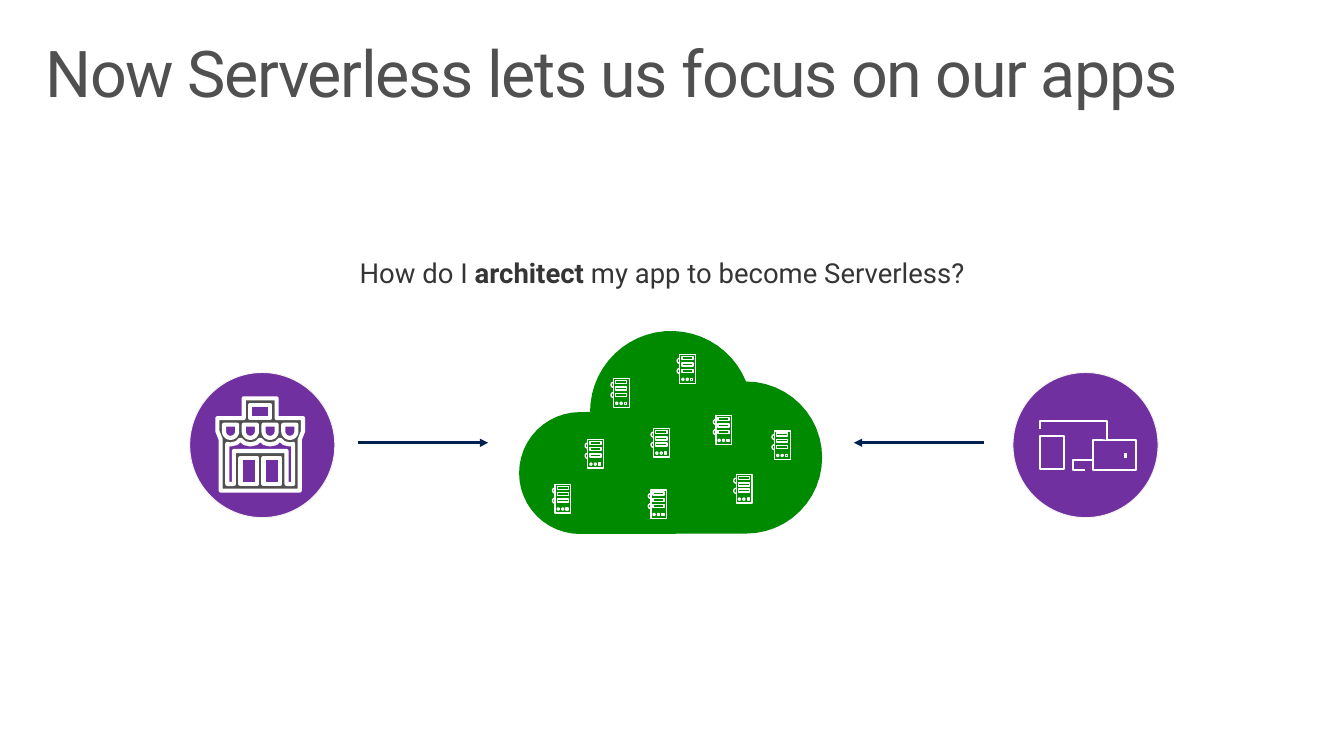
"""Builds the slide showing a store and devices feeding a cloud of servers."""
from math import cos, radians, sin

from lxml.etree import SubElement
from pptx import Presentation
from pptx.dml.color import RGBColor
from pptx.enum.shapes import MSO_CONNECTOR as Connector, MSO_SHAPE as Preset
from pptx.enum.text import PP_ALIGN as Align
from pptx.oxml.ns import qn
from pptx.util import Pt

color = RGBColor.from_string
WHITE, PURPLE, GREEN, NAVY = "FFFFFF", "7030A0", "008A00", "002050"


def arc(center_x, center_y, radius, start, end, steps=24):
    angles = [radians(start + (end - start) * i / steps) for i in range(steps + 1)]
    return [(center_x + radius * cos(a), center_y + radius * sin(a)) for a in angles]


def draw(shapes, geometry, box=None, fill=None, line=None, width=1, closed=True):
    if box:
        shape = shapes.add_shape(geometry, *[Pt(value) for value in box])
    else:
        contours = [[(Pt(x), Pt(y)) for x, y in contour] for contour in geometry]
        builder = shapes.build_freeform(*contours[0][0])
        for index, contour in enumerate(contours):
            if index:
                builder.move_to(*contour[0])
            builder.add_line_segments(contour[1:], close=closed)
        shape = builder.convert_to_shape()
    shape.shadow.inherit = False
    if fill:
        shape.fill.solid()
        shape.fill.fore_color.rgb = color(fill)
    else:
        shape.fill.background()
    if line:
        shape.line.color.rgb = color(line)
        shape.line.width = Pt(width)
    else:
        shape.line.fill.background()


presentation = Presentation()
presentation.slide_width, presentation.slide_height = Pt(979.2), Pt(550.8)
slide = presentation.slides.add_slide(presentation.slide_layouts[6])

cloud = (arc(488.9, 300.2, 59, 180, 338) + arc(543.6, 333.4, 55.4, 270, 450)
         + arc(422.6, 344.7, 44.4, 90, 270) + [(429.8, 300.2)])
draw(slide.shapes, [cloud], fill=GREEN)

title = slide.shapes.add_textbox(Pt(21.6), Pt(23), Pt(936), Pt(72)).text_frame
title.word_wrap = True
title.margin_left = title.margin_right = Pt(11.5)
title.margin_top = title.margin_bottom = Pt(7.2)
title.text = "Now Serverless lets us focus on our apps"
title.paragraphs[0].line_spacing = 0.9
title_run = title.paragraphs[0].runs[0]
title_run.font.name = "Roboto"
title_run.font.size = Pt(47)
title_run.font.color.rgb = color("505050")
title_run.font._element.set("spc", "-100")

store = slide.shapes.add_group_shape().shapes
devices = slide.shapes.add_group_shape().shapes
for icon, left in ((store, 138.2), (devices, 738)):
    draw(icon, Preset.OVAL, (left, 271.4, 105.8, 105.8), PURPLE, "F2F2F2", 0.75)

awning_centers = (4, 10, 16, 22)
facade = [(1, 28), (25, 28), (25, 12.5), (26, 10), (26, 6), (18, 6), (18, 0),
          (8, 0), (8, 6), (0, 6), (0, 10), (1, 12.5)]
sign = [(10, 2), (16, 2), (16, 6), (10, 6)]
doors = [[(x, 18), (x + 5, 18), (x + 5, 26), (x, 26)] for x in (7, 14)]
frame = [(21, 26), (21, 16), (5, 16), (5, 26), (3, 26), (3, 13.8)]
for center in awning_centers:
    frame += [(center, 14), (center + 1.8, 13.6), (center + 3, 12.5), (center + 4.2, 13.6)]
frame = frame[:-3] + [(23, 13.8), (23, 26)]
awnings = [[(x - 2, 8), (x + 2, 8)] + arc(x, 10, 2, 0, 180) for x in awning_centers]
store_grid = [facade, sign, frame] + doors + awnings
store_outline = [[(158.4 + 2.4 * x, 290.2 + 2.4 * y) for x, y in contour]
                 for contour in store_grid]
draw(store, store_outline, fill="505050", line=WHITE, width=3)

for box in ((757.4, 317.5, 18, 24.5), (796.3, 320.4, 31.7, 22.3)):
    draw(devices, Preset.RECTANGLE, box, PURPLE, WHITE, 1.5)
phone = [(796.3, 335.5), (781.9, 335.5), (781.9, 342.7), (790.6, 342.7)]
monitor = [(757.4, 312.5), (757.4, 306.7), (806.4, 306.7), (806.4, 320.4)]
for outline in (phone, monitor):
    draw(devices, [outline], fill=PURPLE, line=WHITE, width=1.5, closed=False)

for shapes, start_x, start_y, end_x, end_y, line, arrow in (
        (devices, 820.1, 333.4, 820.1, 329.8, WHITE, False),
        (slide.shapes, 260.6, 322.6, 355.7, 322.6, NAVY, True),
        (slide.shapes, 717.1, 322.6, 622.1, 322.6, NAVY, True)):
    connector = shapes.add_connector(
        Connector.STRAIGHT, Pt(start_x), Pt(start_y), Pt(end_x), Pt(end_y))
    connector.line.color.rgb = color(line)
    connector.line.width = Pt(2)
    if arrow:
        SubElement(connector.line._get_or_add_ln(), qn("a:tailEnd"), type="triangle")
    SubElement(connector._element.spPr, qn("a:effectLst"))

question = slide.shapes.add_textbox(Pt(239.8), Pt(182.9), Pt(485.3), Pt(32.4)).text_frame
question.word_wrap = True
paragraph = question.paragraphs[0]
paragraph.alignment = Align.CENTER
for text, bold in (("How do I ", False), ("architect", True),
                   (" my app to become Serverless?", False)):
    run = paragraph.add_run()
    run.text = text
    run.font.name = "Roboto"
    run.font.size = Pt(20)
    run.font.bold = bold
    run.font.color.rgb = color("353535")

server_corners = ((447, 275.9), (495.2, 258.4), (428.2, 320.2), (476.2, 312.2),
                  (536.4, 345.7), (521.6, 302.9), (564.3, 313.9), (474.2, 356.9),
                  (404.4, 352.9))
server_parts = [(Preset.RECTANGLE, 0, 0, 11.5, 20.9)]
server_parts += [(Preset.RECTANGLE, 1.6, 1.5 + 4.6 * row, 8.1, 2.2) for row in range(3)]
server_parts += [(preset, 1.6 + 3.2 * column, 17.2, 1.5, 1.5) for column, preset in
                 enumerate((Preset.OVAL, Preset.OVAL, Preset.RECTANGLE))]
for left, top in server_corners:
    server = slide.shapes.add_group_shape().shapes
    for preset, x, y, width, height in server_parts:
        draw(server, preset, (left + x, top + y, width, height), line=WHITE)
    for y in (4.5, 11.9):
        handle = arc(left, top + y, 1.8, 270, 90, 12)
        draw(server, [handle], line=WHITE, closed=False)

presentation.save("out.pptx")
